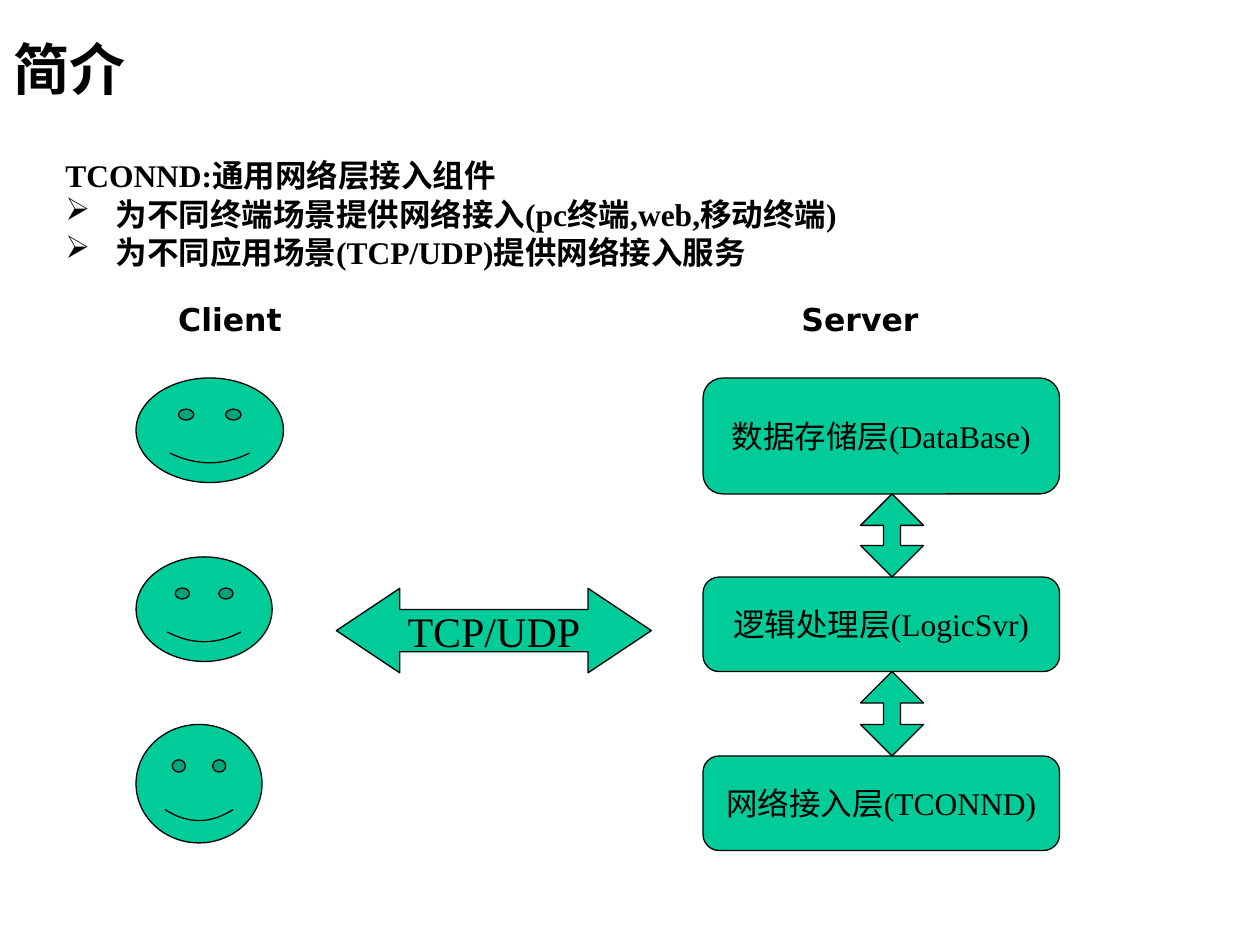
from lxml import etree
from pptx import Presentation
from pptx.dml.color import RGBColor
from pptx.enum.shapes import MSO_SHAPE
from pptx.enum.text import MSO_ANCHOR, PP_ALIGN
from pptx.oxml.ns import qn
from pptx.util import Inches, Pt

FACE = MSO_SHAPE.SMILEY_FACE
BOX = MSO_SHAPE.ROUNDED_RECTANGLE
ACROSS = MSO_SHAPE.LEFT_RIGHT_ARROW
UPDOWN = MSO_SHAPE.UP_DOWN_ARROW
LEFT, CENTER = PP_ALIGN.LEFT, PP_ALIGN.CENTER
TOP, MIDDLE = MSO_ANCHOR.TOP, MSO_ANCHOR.MIDDLE


def color(value):
    return RGBColor.from_string(value)


class Deck:
    """Holds the style and the current slide."""
    serif, sans = "Times New Roman", "DejaVu Sans"
    ink, green = "000000", "00CC99"

    def __init__(self):
        self.prs = Presentation()
        self.prs.slide_width, self.prs.slide_height = Inches(10), Inches(7.5)
        self.slide = self.prs.slides.add_slide(self.prs.slide_layouts[6])

    def add_run(self, para, text, size, bold=False, font=None):
        run = para.add_run()
        run.text = text
        run.font.size, run.font.bold = Pt(size), bold
        run.font.name = font or self.serif
        run.font.color.rgb = color(self.ink)

    def text(self, at, text, size, align=LEFT, anchor=TOP, font=None):
        frame = self.slide.shapes.add_textbox(*map(Inches, at)).text_frame
        frame.word_wrap = True
        frame.vertical_anchor = anchor
        para = frame.paragraphs[0]
        para.alignment = align
        self.add_run(para, text, size, True, font)

    def points(self, at, head, items, size):
        """Adds a heading line followed by bulleted lines."""
        frame = self.slide.shapes.add_textbox(*map(Inches, at)).text_frame
        frame.word_wrap = True
        for i, text in enumerate([head] + items):
            para = frame.add_paragraph() if i else frame.paragraphs[0]
            props = para._p.get_or_add_pPr()
            props.set("marL", str(Inches(0.4)))
            props.set("indent", str(-Inches(0.4)))
            if i:
                etree.SubElement(props, qn("a:buChar")).set("char", "➢")
                para.space_before = Pt(4.5)
            para.line_spacing = 0.8
            self.add_run(para, text, size, True)

    def shape(self, kind, at, adjust, text="", size=18):
        shape = self.slide.shapes.add_shape(kind, *map(Inches, at))
        shape.shadow.inherit = False
        for i, value in enumerate(adjust):
            shape.adjustments[i] = value
        shape.fill.solid()
        shape.fill.fore_color.rgb = color(self.green)
        shape.line.color.rgb = color(self.ink)
        shape.line.width = Pt(0.75)
        if text:
            frame = shape.text_frame
            frame.word_wrap = False
            frame.vertical_anchor = MIDDLE
            para = frame.paragraphs[0]
            para.alignment = CENTER
            self.add_run(para, text, size)


def main():
    deck = Deck()
    deck.text((0.01, 0.08, 6.57, 0.92), "简介", 32, anchor=MIDDLE)
    deck.points((0.42, 1.25, 8.75, 1), "TCONND:通用网络层接入组件", [
        "为不同终端场景提供网络接入(pc终端,web,移动终端)",
        "为不同应用场景(TCP/UDP)提供网络接入服务",
    ], 18)

    for left, name in ((0.92, "Client"), (5.92, "Server")):
        deck.text((left, 2.33, 1.81, 0.4), name, 18, CENTER, font=deck.sans)

    for top, width, height in ((3, 1.17, 0.83), (4.42, 1.08, 0.83),
                               (5.75, 1, 0.94)):
        deck.shape(FACE, (1.08, top, width, height), [0.09])

    deck.shape(ACROSS, (2.67, 4.67, 2.5, 0.67), [0.5, 0.75], "TCP/UDP", 24)

    layers = ((3, 0.92, "数据存储层(DataBase)"),
              (4.58, 0.75, "逻辑处理层(LogicSvr)"),
              (6, 0.75, "网络接入层(TCONND)"))
    for top, height, name in layers:
        deck.shape(BOX, (5.58, top, 2.83, height), [0.17], name)
    for (top, height, _), (low, _, _) in zip(layers, layers[1:]):
        base = top + height
        deck.shape(UPDOWN, (6.83, base, 0.5, low - base), [0.5, 0.27])

    deck.prs.save("out.pptx")


if __name__ == "__main__":
    main()
